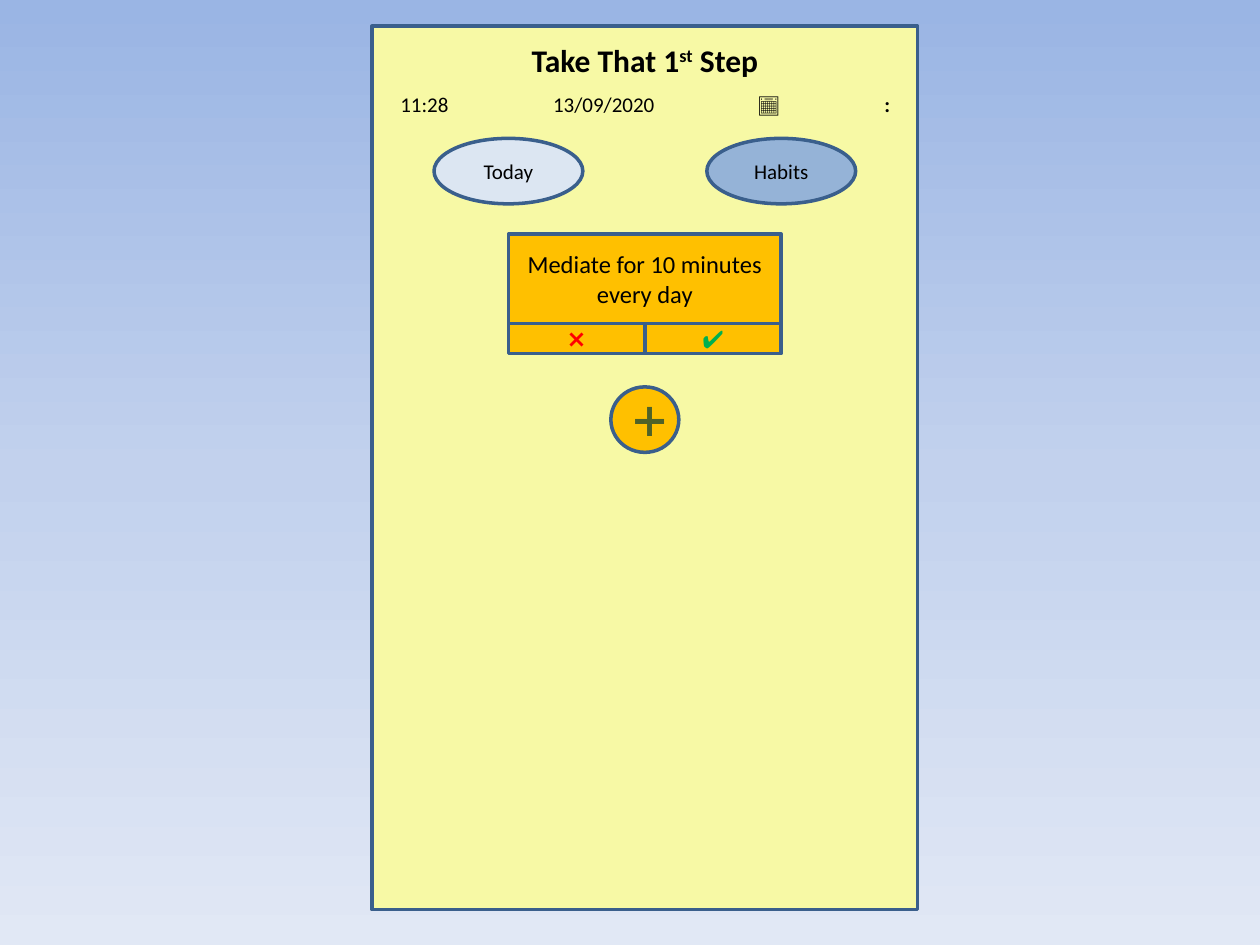
import copy
import pptx
import pptx.dml.color
import pptx.enum.shapes
import pptx.enum.text
import pptx.oxml
import pptx.util

Cm = pptx.util.Cm
Pt = pptx.util.Pt
RGB = pptx.dml.color.RGBColor.from_string
SHAPE = pptx.enum.shapes.MSO_SHAPE
ALIGN = pptx.enum.text.PP_ALIGN
ANCHOR = pptx.enum.text.MSO_ANCHOR

COLORS = {
    "sky_top": "9AB5E4", "sky_middle": "C2D1ED", "sky_bottom": "E1E8F5",
    "panel": "F7F9A5", "outline": "3A5F8C", "today": "DCE6F2",
    "habits": "95B3D7", "card": "FFC000", "text": "000000",
    "plus": "4F6228", "skip": "FF0000", "done": "00B050",
}
CENTER = 13
PANEL_WIDTH = 11
PANEL_LEFT = CENTER - PANEL_WIDTH / 2
QUARTER = PANEL_WIDTH / 4

presentation = pptx.Presentation()
presentation.slide_width = Cm(25.4)
presentation.slide_height = Cm(19.05)
slide = presentation.slides.add_slide(presentation.slide_layouts[5])


def add_text(paragraph, text, size, color="text", bold=False):
    """Append one formatted run to a paragraph and return it."""
    run = paragraph.add_run()
    run.text = text
    run.font.name = "Calibri"
    run.font.size = Pt(size)
    run.font.bold = bold
    run.font.color.rgb = RGB(COLORS[color])
    return run


def add_box(kind, center, top, width, height, fill, text="", size=12, color="text"):
    """Add an outlined shape centred on a horizontal position, in cm."""
    box = slide.shapes.add_shape(
        kind, Cm(center - width / 2), Cm(top), Cm(width), Cm(height))
    box.shadow.inherit = False
    box.fill.solid()
    box.fill.fore_color.rgb = RGB(COLORS[fill])
    box.line.color.rgb = RGB(COLORS["outline"])
    box.line.width = Pt(2)
    if text:
        box.text_frame.vertical_anchor = ANCHOR.MIDDLE
        paragraph = box.text_frame.paragraphs[0]
        paragraph.alignment = ALIGN.CENTER
        add_text(paragraph, text, size, color)
    return box


# Background: three-stop gradient running downwards
sky = slide.background.fill
sky.gradient()
sky.gradient_angle = 270
stop_list = slide.background.fill.gradient_stops[0]._gs.getparent()
stop_list.append(copy.deepcopy(stop_list[-1]))
for stop, name, position in zip(
        sky.gradient_stops, ("sky_top", "sky_middle", "sky_bottom"), (0, 0.5, 1)):
    stop.color.rgb = RGB(COLORS[name])
    stop.position = position

# App screen, placed behind the title
screen = add_box(SHAPE.RECTANGLE, CENTER, 0.53, PANEL_WIDTH, 17.81, "panel")
slide.shapes._spTree.insert(2, screen._element)

# Heading
heading = slide.shapes.title
heading.left, heading.top = Cm(PANEL_LEFT), Cm(0.69)
heading.width, heading.height = Cm(PANEL_WIDTH), Cm(1.03)
heading.text_frame.auto_size = pptx.enum.text.MSO_AUTO_SIZE.NONE
heading.text_frame.vertical_anchor = ANCHOR.TOP
heading_line = heading.text_frame.paragraphs[0]
heading_line.alignment = ALIGN.CENTER
add_text(heading_line, "Take That 1", 18, bold=True)
ordinal = add_text(heading_line, "st", 18, bold=True)
ordinal.font._element.set("baseline", "30000")
add_text(heading_line, " Step", 18, bold=True)

# Status row: time, date, calendar and menu on tab stops
status = slide.shapes.add_textbox(Cm(PANEL_LEFT), Cm(1.73), Cm(PANEL_WIDTH), Cm(0.77))
status.text_frame.word_wrap = True
status.text_frame.margin_left = Cm(0.57)
status_line = status.text_frame.paragraphs[0]
add_text(status_line, "11:28\t13/09/2020\t📅\t", 12)
add_text(status_line, ":", 12, bold=True)
tab_list = pptx.oxml.parse_xml(
    '<a:tabLst xmlns:a="http://schemas.openxmlformats.org/drawingml/2006/main">'
    + "".join(f'<a:tab pos="{Cm(stop)}" algn="l"/>' for stop in (3.08, 7.22, 9.76))
    + "</a:tabLst>")
status_line._p.get_or_add_pPr().append(tab_list)

# View buttons
for side, label, fill in ((-1, "Today", "today"), (1, "Habits", "habits")):
    add_box(SHAPE.OVAL, CENTER + side * QUARTER, 2.79, 3, 1.32, fill, label)

# Add button
add_box(SHAPE.OVAL, CENTER, 7.8, 1.37, 1.32, "card", "➕", 24, "plus")

# Habit card with its two answers
add_box(SHAPE.RECTANGLE, CENTER, 4.72, 2 * QUARTER, 1.8, "card",
        "Mediate for 10 minutes every day", 14)
for side, mark, color in ((-1, "❌", "skip"), (1, "✔", "done")):
    add_box(SHAPE.RECTANGLE, CENTER + side * QUARTER / 2, 6.52, QUARTER, 0.61,
            "card", mark, 14, color)

presentation.save("out.pptx")
